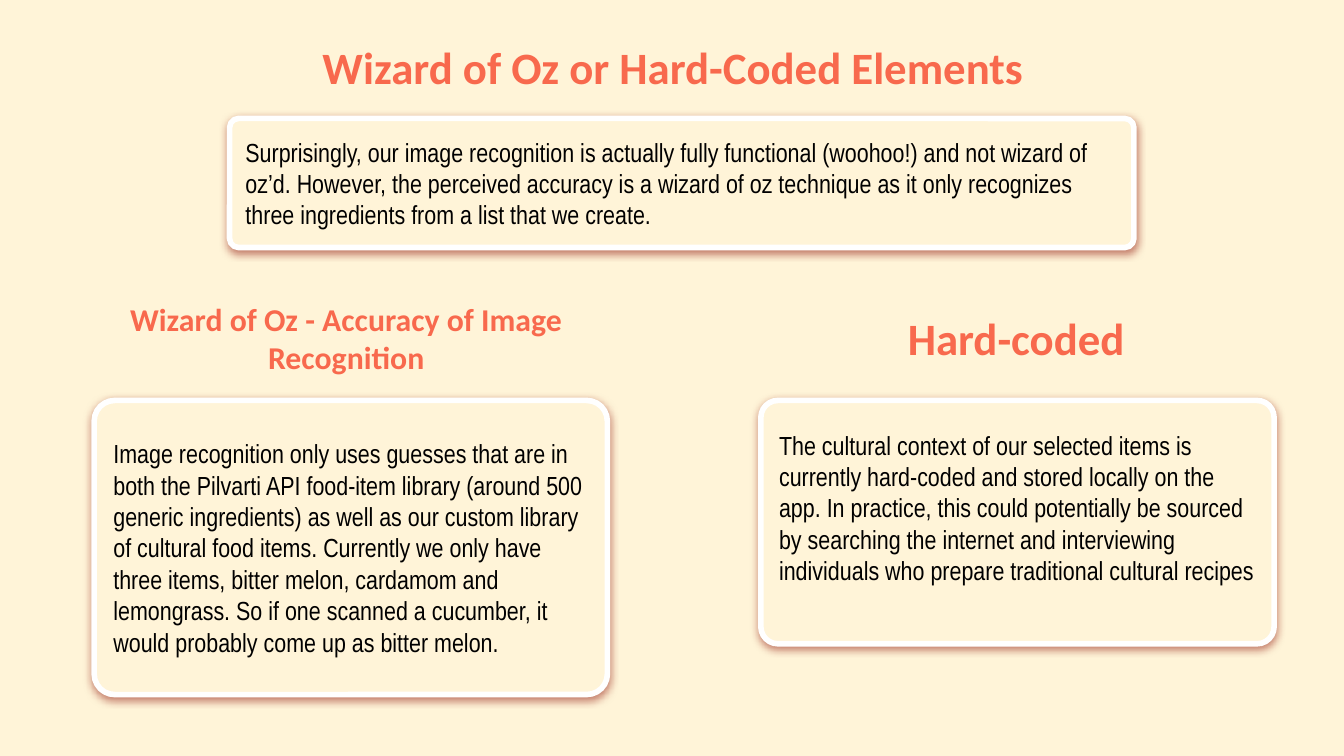
from lxml.etree import SubElement
from pptx import Presentation
from pptx.dml.color import RGBColor
from pptx.enum.shapes import MSO_SHAPE
from pptx.enum.text import MSO_ANCHOR, PP_ALIGN
from pptx.oxml.ns import qn
from pptx.util import Cm, Pt

CREAM, CORAL, WHITE, BLACK, SHADOW = "FFF4D8", "F8694D", "FFFFFF", "000000", "8A0B01"
INSET = 0.25
HEADING_HEIGHT = 1.19
CARD_WIDTH, CARD_TOP = 9.7, 7.57
HEADING_TOP = 5.79

# text, size, left, top, width (cm)
HEADINGS = [
    ("Wizard of Oz or Hard-Coded Elements", 24, 2.01, 0.66, 21.41),
    ("Wizard of Oz - Accuracy of Image Recognition", 17, 1.78, HEADING_TOP, 9.53),
    ("Hard-coded", 24, 14.1, HEADING_TOP, 10.21),
]

# text, left, top, width, height, bottom inset (cm)
CARDS = [
    ("Surprisingly, our image recognition is actually fully functional (woohoo!) "
     "and not wizard of oz’d. However, the perceived accuracy is a wizard of oz "
     "technique as it only recognizes three ingredients from a list that we create.",
     4.34, 2.24, 17.09, 2.44, INSET),
    ("Image recognition only uses guesses that are in both the Pilvarti API food-item "
     "library (around 500 generic ingredients) as well as our custom library of "
     "cultural food items. Currently we only have three items, bitter melon, cardamom "
     "and lemongrass. So if one scanned a cucumber, it would probably come up as "
     "bitter melon.",
     1.78, CARD_TOP, CARD_WIDTH, 5.56, INSET),
    ("The cultural context of our selected items is currently hard-coded and stored "
     "locally on the app. In practice, this could potentially be sourced by searching "
     "the internet and interviewing individuals who prepare traditional cultural recipes",
     14.38, CARD_TOP, CARD_WIDTH, 4.6, 0.8),
]

HEADING_FONT = {"name": "Calibri", "bold": True}
BODY_FONT = {"name": "Arial Narrow", "size": Pt(14)}


def color(hex_string):
    return RGBColor.from_string(hex_string)


def write(shape, text, align, font, font_color, bottom=INSET):
    frame = shape.text_frame
    layout = {
        "word_wrap": True, "vertical_anchor": MSO_ANCHOR.MIDDLE,
        "margin_left": Cm(INSET), "margin_right": Cm(INSET),
        "margin_top": Cm(INSET), "margin_bottom": Cm(bottom),
    }
    for key, value in layout.items():
        setattr(frame, key, value)
    paragraph = frame.paragraphs[0]
    paragraph.alignment = align
    run = paragraph.add_run()
    run.text = text
    for key, value in font.items():
        setattr(run.font, key, value)
    run.font.color.rgb = color(font_color)


def add_soft_shadow(shape):
    """Give the shape a blurred shadow that falls straight down."""
    shape.shadow.inherit = False
    effects = shape._element.spPr.find(qn("a:effectLst"))
    outer = SubElement(effects, qn("a:outerShdw"), blurRad=str(Pt(4.5)),
                       dist=str(Pt(1.5)), dir="5400000", algn="bl", rotWithShape="0")
    tint = SubElement(outer, qn("a:srgbClr"), val=SHADOW)
    SubElement(tint, qn("a:alpha"), val="50000")


def add_heading(slide, text, size, left, top, width):
    box = slide.shapes.add_textbox(Cm(left), Cm(top), Cm(width), Cm(HEADING_HEIGHT))
    write(box, text, PP_ALIGN.CENTER, {**HEADING_FONT, "size": Pt(size)}, CORAL)


def add_card(slide, text, left, top, width, height, bottom):
    card = slide.shapes.add_shape(MSO_SHAPE.ROUNDED_RECTANGLE,
                                  Cm(left), Cm(top), Cm(width), Cm(height))
    card.adjustments[0] = 0.07
    card.fill.solid()
    card.fill.fore_color.rgb = color(CREAM)
    card.line.color.rgb = color(WHITE)
    card.line.width = Pt(3)
    add_soft_shadow(card)
    write(card, text, PP_ALIGN.LEFT, BODY_FONT, BLACK, bottom)


def main():
    deck = Presentation()
    deck.slide_width, deck.slide_height = Cm(25.4), Cm(14.29)
    slide = deck.slides.add_slide(deck.slide_layouts[6])
    slide.background.fill.solid()
    slide.background.fill.fore_color.rgb = color(CREAM)
    for card in CARDS:
        add_card(slide, *card)
    for heading in HEADINGS:
        add_heading(slide, *heading)
    deck.save("out.pptx")


if __name__ == "__main__":
    main()
